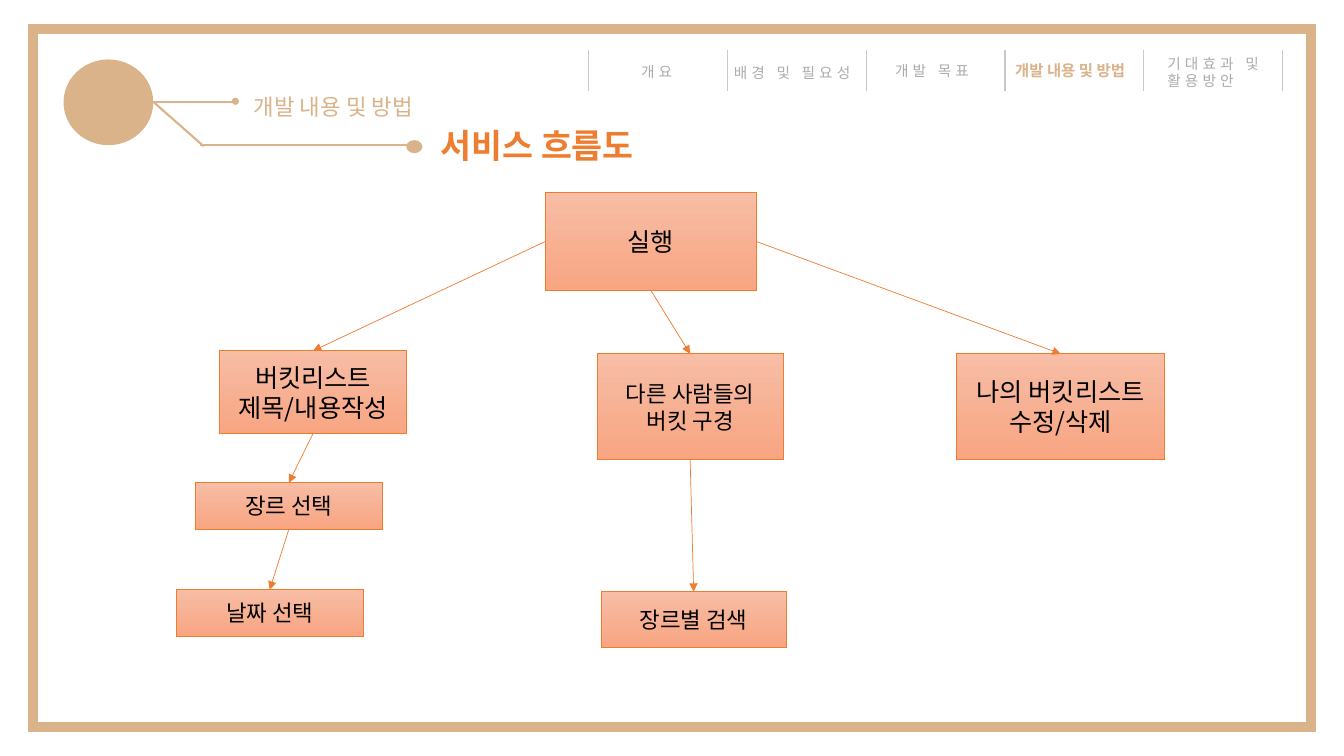
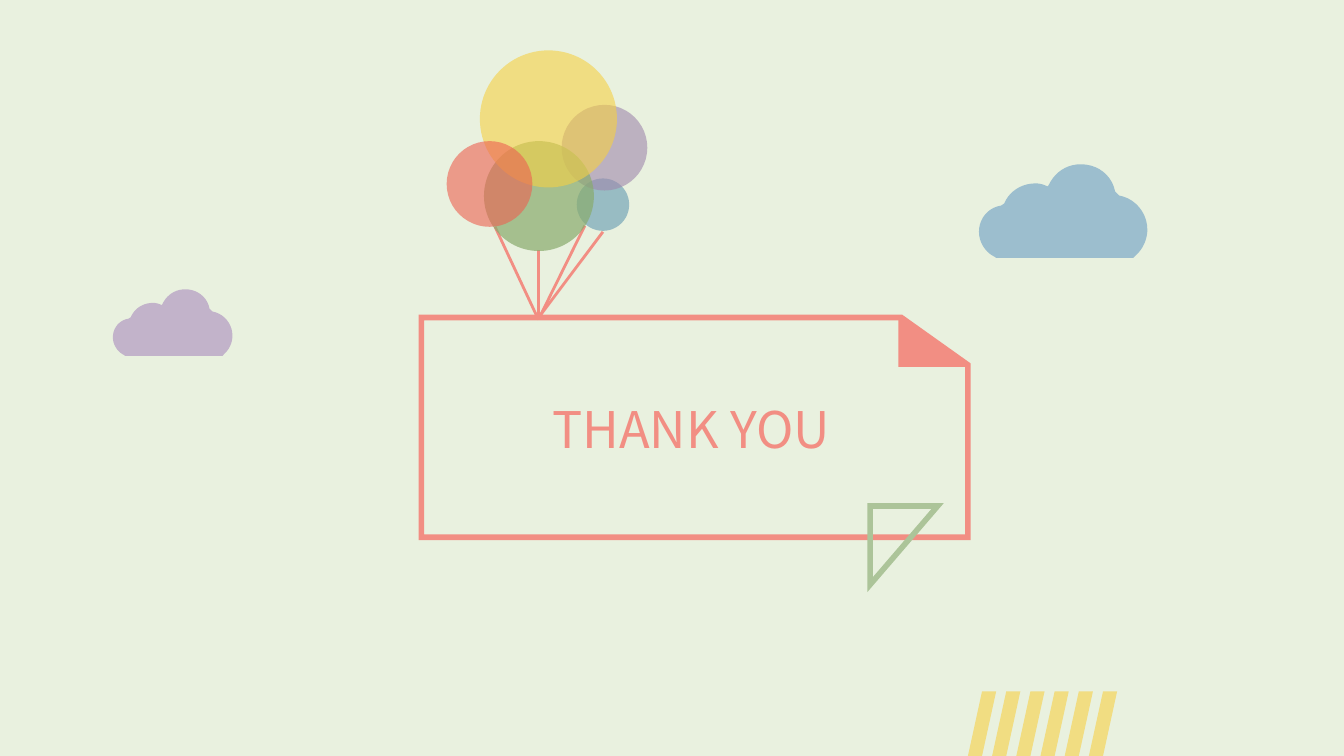
from lxml import etree
from pptx import Presentation
from pptx.dml.color import RGBColor
from pptx.enum.shapes import MSO_CONNECTOR, MSO_SHAPE
from pptx.enum.text import MSO_ANCHOR, MSO_AUTO_SIZE, PP_ALIGN
from pptx.oxml.ns import qn
from pptx.util import Inches, Pt

STRAIGHT = MSO_CONNECTOR.STRAIGHT
OVAL, RECTANGLE = MSO_SHAPE.OVAL, MSO_SHAPE.RECTANGLE
LEFT, CENTER = PP_ALIGN.LEFT, PP_ALIGN.CENTER
TOP, MIDDLE = MSO_ANCHOR.TOP, MSO_ANCHOR.MIDDLE
GROW = MSO_AUTO_SIZE.SHAPE_TO_FIT_TEXT
# Connection sites of a rectangle
SITE_TOP, SITE_LEFT, SITE_BOTTOM, SITE_RIGHT = range(4)

FONT = "Noto Sans CJK KR"
WHITE, BLACK = "FFFFFF", "000000"
TAN, ORANGE, GRAY, DIVIDER = "DAB38A", "ED7D31", "AFABAB", "C8C8C8"
BOX_GRADIENT = ("F7BDA5", "F8A582")
MINT, CORAL, GREEN, YELLOW = "E9F1DF", "F28E83", "ACC499", "F1DD82"


def rgb(value):
    return RGBColor.from_string(value)


def write(frame, text, size=16, color=BLACK, bold=False, spacing=0,
          align=LEFT, anchor=TOP, wrap=False, grow=True):
    """Fill a text frame; each line of the text is a paragraph."""
    frame.word_wrap = wrap
    frame.vertical_anchor = anchor
    frame.auto_size = GROW if grow else MSO_AUTO_SIZE.NONE
    for index, line in enumerate(text.split("\n")):
        paragraph = frame.paragraphs[0] if index == 0 else frame.add_paragraph()
        paragraph.alignment = align
        run = paragraph.add_run()
        run.text = line
        run.font.size, run.font.bold = Pt(size), bold
        run.font.color.rgb = rgb(color)
        run.font.name = FONT
        properties = run.font._element
        etree.SubElement(properties, qn("a:ea"), typeface=FONT)
        if spacing:
            properties.set("spc", str(spacing * 100))


def curve(start, first, second, end, steps=10):
    """Points along a cubic curve, without its start."""
    points = []
    for step in range(1, steps + 1):
        t = step / steps
        weights = ((1 - t) ** 3, 3 * t * (1 - t) ** 2, 3 * t * t * (1 - t), t ** 3)
        points.append(tuple(
            sum(weight * value for weight, value in zip(weights, values))
            for values in zip(start, first, second, end)))
    return points


class Deck:
    def __init__(self):
        self.presentation = Presentation()
        self.presentation.slide_width = Inches(13.33)
        self.presentation.slide_height = Inches(7.5)
        self.slide = None

    def add_slide(self, background):
        layout = self.presentation.slide_layouts[5]
        self.slide = self.presentation.slides.add_slide(layout)
        fill = self.slide.background.fill
        fill.solid()
        fill.fore_color.rgb = rgb(background)

    def title(self, box, text, **style):
        title = self.slide.shapes.title
        title.left, title.top, title.width, title.height = map(Inches, box)
        write(title.text_frame, text, **style)

    def text(self, box, text, **style):
        shape = self.slide.shapes.add_textbox(*map(Inches, box))
        write(shape.text_frame, text, **style)

    def paint(self, shape, fill=None, line=None, width=1, alpha=None):
        shape.shadow.inherit = False
        if fill:
            shape.fill.solid()
            shape.fill.fore_color.rgb = rgb(fill)
        else:
            shape.fill.background()
        if alpha:
            color = shape._element.spPr.find(qn("a:solidFill"))[0]
            etree.SubElement(color, qn("a:alpha"), val=str(alpha * 1000))
        if line:
            shape.line.color.rgb = rgb(line)
            shape.line.width = Pt(width)
            outline = shape._element.spPr.find(qn("a:ln"))
            etree.SubElement(outline, qn("a:miter"), lim="800000")
        else:
            shape.line.fill.background()

    def shape(self, kind, box, **style):
        shape = self.slide.shapes.add_shape(kind, *map(Inches, box))
        self.paint(shape, **style)
        return shape

    def outline(self, *contours, **style):
        """Closed outlines, each a list of points, as one freeform."""
        builder = None
        for contour in contours:
            points = [(Inches(x), Inches(y)) for x, y in contour]
            if builder is None:
                builder = self.slide.shapes.build_freeform(*points[0])
            else:
                builder.move_to(*points[0])
            builder.add_line_segments(points[1:], close=True)
        self.paint(builder.convert_to_shape(), **style)

    def line(self, start, end, color, width):
        connector = self.slide.shapes.add_connector(
            STRAIGHT, *map(Inches, (*start, *end)))
        connector.line.color.rgb = rgb(color)
        connector.line.width = Pt(width)
        etree.SubElement(connector._element.spPr, qn("a:effectLst"))
        return connector

    def arrow(self, source, site, target):
        """Arrow from a site of one box to the top of another."""
        connector = self.line((0, 0), (1, 1), ORANGE, 0.5)
        connector.begin_connect(source, site)
        connector.end_connect(target, SITE_TOP)
        outline = connector._element.spPr.find(qn("a:ln"))
        etree.SubElement(outline, qn("a:tailEnd"), type="triangle")

    def flow_box(self, box, text, size=16):
        shape = self.shape(RECTANGLE, box, line=ORANGE, width=0.5)
        shape.fill.gradient()
        shape.fill.gradient_angle = 270
        for stop, color in zip(shape.fill.gradient_stops, BOX_GRADIENT):
            stop.color.rgb = rgb(color)
        write(shape.text_frame, text, size=size, align=CENTER,
              anchor=MIDDLE, wrap=True, grow=False)
        return shape

    def cloud(self, left, top, scale, color):
        # Bumps: start, two control points, end
        bumps = [
            ((1.01, 0), (1.18, 0), (1.32, 0.11), (1.35, 0.27)),
            ((1.39, 0.31), (1.55, 0.34), (1.67, 0.48), (1.67, 0.65)),
            ((1.67, 0.65), (1.67, 0.74), (1.63, 0.83), (1.57, 0.89)),
            ((1.53, 0.93), (1.53, 0.93), (0.17, 0.93), (0.17, 0.93)),
            ((0.16, 0.92), (0.07, 0.88), (0, 0.78), (0, 0.67)),
            ((0, 0.67), (0, 0.54), (0.09, 0.43), (0.22, 0.41)),
            ((0.25, 0.39), (0.3, 0.27), (0.42, 0.19), (0.56, 0.19)),
            ((0.56, 0.19), (0.6, 0.19), (0.64, 0.2), (0.68, 0.22)),
            ((0.69, 0.21), (0.75, 0.08), (0.87, 0), (1.01, 0)),
        ]
        points = [point for bump in bumps for point in (bump[0], *curve(*bump))]
        self.outline([(left + x * scale, top + y * scale) for x, y in points],
                     fill=color)


def build_flow_slide(deck):
    deck.add_slide(WHITE)
    deck.shape(RECTANGLE, (0.33, 0.29, 12.67, 6.92), line=TAN, width=7)

    # Branching heading
    for start, end in (((1.39, 1.01), (2.31, 1.01)),
                       ((1.52, 1.01), (2.02, 1.45)),
                       ((1.98, 1.44), (4.07, 1.44))):
        deck.line(start, end, TAN, 1.5)
    for dot in ((0.63, 0.59, 0.89, 0.85), (2.3, 0.97, 0.07, 0.07),
                (4.03, 1.39, 0.16, 0.13)):
        deck.shape(OVAL, dot, fill=TAN)
    deck.text((2.42, 0.87, 1.94, 0.37), "개발 내용 및 방법", color=TAN)
    deck.title((4.27, 1.19, 2.31, 0.5), "서비스 흐름도",
               size=24, color=ORANGE, bold=True)

    # Section bar
    first, last, sections = 5.84, 12.72, 5
    for index in range(sections + 1):
        x = first + index * (last - first) / sections
        deck.line((x, 0.5), (x, 0.9), DIVIDER, 1)
    for box, label in (((6.26, 0.57, 0.58, 0.28), "개요"),
                       ((7.18, 0.58, 1.5, 0.28), "배경 및 필요성"),
                       ((8.78, 0.56, 1.04, 0.28), "개발 목표"),
                       ((11.48, 0.49, 1.31, 0.45), "기대효과 및\n활용방안")):
        deck.text(box, label, size=10.5, color=GRAY, spacing=3)
    deck.text((9.97, 0.56, 1.4, 0.47), "개발 내용 및 방법",
              size=11, color=TAN, bold=True)

    # Flow chart
    run = deck.flow_box((5.41, 1.91, 2.09, 0.97), "실행", 18)
    create = deck.flow_box((2.18, 3.48, 1.85, 0.82),
                           "버킷리스트\n제목/내용작성", 18)
    browse = deck.flow_box((5.92, 3.51, 1.85, 1.05), "다른 사람들의\n버킷 구경")
    edit = deck.flow_box((9.49, 3.51, 2.06, 1.05), "나의 버킷리스트 수정/삭제", 18)
    genre = deck.flow_box((1.94, 4.79, 1.85, 0.46), "장르 선택")
    date = deck.flow_box((1.75, 5.85, 1.85, 0.46), "날짜 선택")
    search = deck.flow_box((5.96, 5.87, 1.84, 0.55), "장르별 검색")
    for source, site, target in ((run, SITE_LEFT, create),
                                 (run, SITE_BOTTOM, browse),
                                 (run, SITE_RIGHT, edit),
                                 (create, SITE_BOTTOM, genre),
                                 (genre, SITE_BOTTOM, date),
                                 (browse, SITE_BOTTOM, search)):
        deck.arrow(source, site, target)


def build_closing_slide(deck):
    deck.add_slide(MINT)

    # Note card with folded corner
    deck.outline([(4.18, 3.15), (8.94, 3.15), (9.6, 3.62), (9.6, 5.33),
                  (4.18, 5.33)], line=CORAL, width=4)
    deck.outline([(8.91, 3.13), (9.6, 3.64), (8.91, 3.64)], fill=CORAL)
    deck.outline([(8.63, 5.02), (9.3, 5.02), (8.63, 5.8)], line=GREEN, width=4)
    deck.title((4.84, 3.9, 4.03, 0.71), "THANK YOU",
               size=36, color=CORAL, align=CENTER, wrap=True)

    # Balloons on strings
    for start, end in (((5.34, 2.48), (5.34, 3.13)), ((5.98, 2.3), (5.35, 3.14)),
                       ((4.91, 2.25), (5.34, 3.17)), ((5.8, 2.24), (5.35, 3.15))):
        deck.line(start, end, CORAL, 2)
    for left, top, size, color, alpha in ((5.72, 1.77, 0.52, "6399B1", 60),
                                          (5.57, 1.04, 0.85, "A089AD", 61),
                                          (4.8, 1.4, 1.09, "89AB6D", 70),
                                          (4.76, 0.5, 1.36, "F6D044", 60),
                                          (4.43, 1.4, 0.85, "ED6051", 60)):
        deck.shape(OVAL, (left, top, size, size), fill=color, alpha=alpha)

    # Clouds
    deck.cloud(9.71, 1.63, 1, "9CBECE")
    deck.cloud(1.12, 2.87, 0.71, "C2B3CA")

    # Slanted stripes
    stripes = []
    for index in range(6):
        x = 9.6 + index * 0.24
        stripes.append([(x + 0.14, 6.86), (x + 0.28, 6.86),
                        (x + 0.14, 7.5), (x, 7.5)])
    deck.outline(*stripes, fill=YELLOW)


def main():
    deck = Deck()
    build_flow_slide(deck)
    build_closing_slide(deck)
    deck.presentation.save("out.pptx")


if __name__ == "__main__":
    main()
